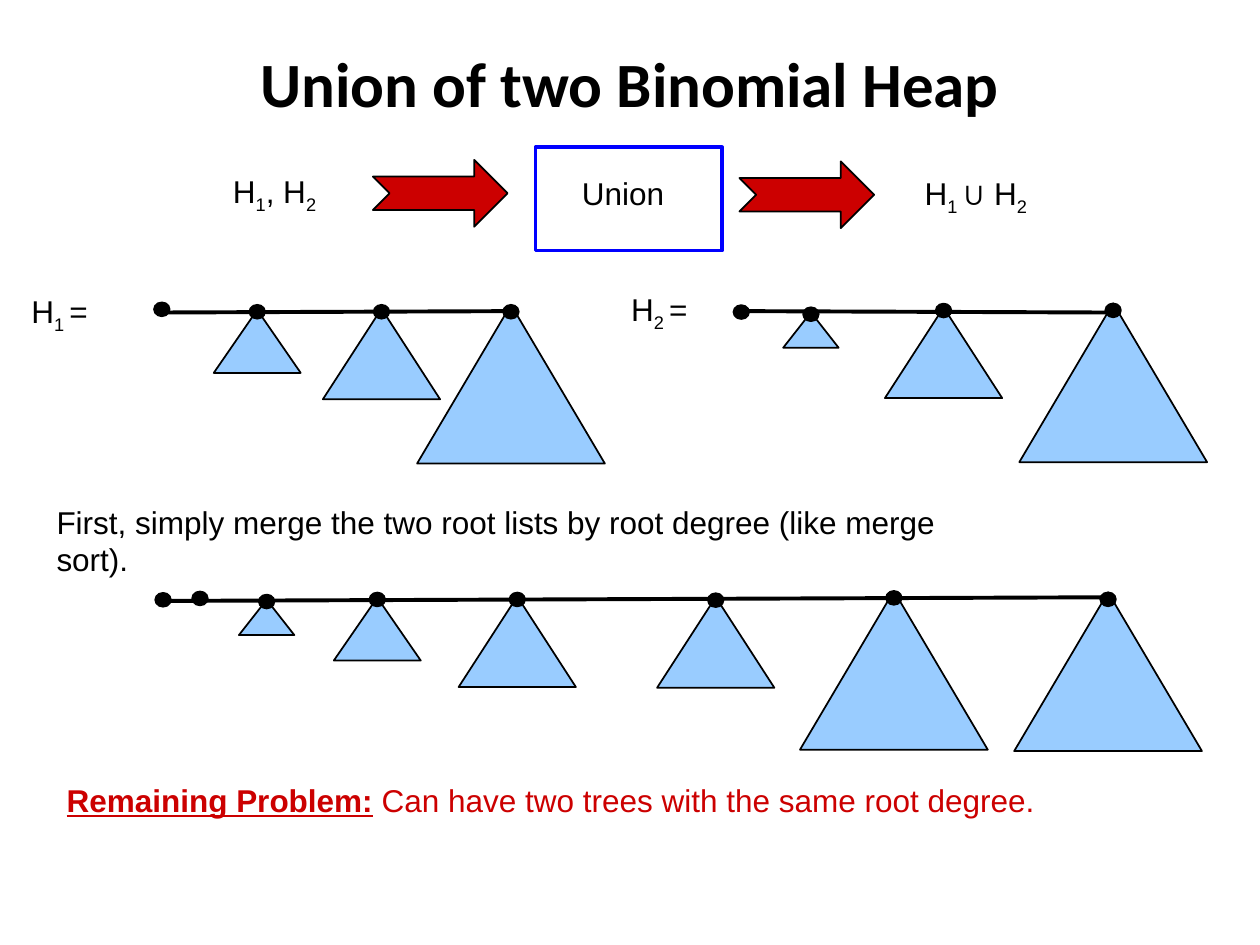
from dataclasses import dataclass

from lxml.etree import SubElement
from pptx import Presentation
from pptx.dml.color import RGBColor as Rgb
from pptx.enum.shapes import MSO_CONNECTOR as Connector, MSO_SHAPE as Shape
from pptx.enum.text import MSO_ANCHOR as Anchor, MSO_AUTO_SIZE as AutoSize, PP_ALIGN as Align
from pptx.oxml.ns import qn
from pptx.util import Pt


@dataclass(frozen=True)
class Theme:
    ink: Rgb = Rgb(0, 0, 0)
    accent: Rgb = Rgb(0xCC, 0, 0)
    frame: Rgb = Rgb(0, 0, 0xFF)
    tree: Rgb = Rgb(0x99, 0xCC, 0xFF)
    title_font: str = "Calibri"
    body_font: str = "Arial"
    title_size: float = 36
    body_size: float = 18
    thin: float = 1
    thick: float = 2.25


def apply(target, formats):
    for attribute, value in formats.items():
        setattr(target, attribute, value)


class HeapSlide:
    TREE_SIZES = {1: (31.7, 20.2, 2.9), 2: (49.7, 36, 2.9), 3: (67, 51.8, 2.2), 4: (107.3, 90.7, 0)}
    ROOT_WIDTH, ROOT_HEIGHT = 8.9, 7.9

    def __init__(self, slide, theme):
        self.slide = slide
        self.theme = theme

    def title(self, wording, left, top, width, height):
        heading = self.slide.shapes.title
        apply(heading, dict(left=Pt(left), top=Pt(top), width=Pt(width), height=Pt(height)))
        frame = heading.text_frame
        apply(frame, dict(text=wording, auto_size=AutoSize.NONE, vertical_anchor=Anchor.MIDDLE))
        paragraph = frame.paragraphs[0]
        paragraph.alignment = Align.CENTER
        apply(paragraph.runs[0].font,
              dict(name=self.theme.title_font, size=Pt(self.theme.title_size), bold=True))
        paragraph.runs[0].font.color.rgb = self.theme.ink

    def text(self, parts, left, top, width, height, color=None):
        box = self.slide.shapes.add_textbox(Pt(left), Pt(top), Pt(width), Pt(height))
        apply(box.text_frame, dict(word_wrap=False, auto_size=AutoSize.SHAPE_TO_FIT_TEXT))
        paragraph = box.text_frame.paragraphs[0]
        for wording, style in parts:
            run = paragraph.add_run()
            run.text = wording
            apply(run.font, dict(name=self.theme.body_font, size=Pt(self.theme.body_size)))
            run.font.color.rgb = color or self.theme.ink
            if style == "sub":
                run.font._element.set("baseline", "-25000")
            if style == "strong":
                apply(run.font, dict(bold=True, underline=True))

    def shape(self, kind, left, top, width, height, fill=None, line=None, weight=None, parent=None):
        shapes = (parent or self.slide).shapes
        drawn = shapes.add_shape(kind, Pt(left), Pt(top), Pt(width), Pt(height))
        drawn.shadow.inherit = False
        if fill is None:
            drawn.fill.background()
        else:
            drawn.fill.solid()
            drawn.fill.fore_color.rgb = fill
        drawn.line.color.rgb = line or self.theme.ink
        drawn.line.width = Pt(weight or self.theme.thin)

    def root_list(self, start, end):
        link = self.slide.shapes.add_connector(Connector.STRAIGHT, *map(Pt, start + end))
        link.line.color.rgb = self.theme.ink
        link.line.width = Pt(self.theme.thick)
        SubElement(link._element.spPr, qn("a:effectLst"))

    def tree(self, degree, center, top):
        parent = None
        if degree:
            width, height, drop = self.TREE_SIZES[degree]
            parent = self.slide.shapes.add_group_shape()
            self.shape(Shape.ISOSCELES_TRIANGLE, center - width / 2, top + drop, width, height,
                       self.theme.tree, parent=parent)
        self.shape(Shape.OVAL, center - self.ROOT_WIDTH / 2, top, self.ROOT_WIDTH,
                   self.ROOT_HEIGHT, self.theme.ink, parent=parent)

    def heap(self, start, end, trees):
        self.root_list(start, end)
        for degree, center, top in trees:
            self.tree(degree, center, top)


def main():
    deck = Presentation()
    apply(deck, dict(slide_width=Pt(720), slide_height=Pt(540)))
    theme = Theme()
    page = HeapSlide(deck.slides.add_slide(deck.slide_layouts[5]), theme)

    page.title("Union of two Binomial Heap", 36, 21.6, 648, 50.4)

    page.shape(Shape.RECTANGLE, 306, 84.2, 106.6, 59, line=theme.frame, weight=theme.thick)
    for left, top in ((213.1, 91.4), (422.6, 92.2)):
        page.shape(Shape.NOTCHED_RIGHT_ARROW, left, top, 77, 38.2, theme.accent)
    page.text([("Union", None)], 325.4, 95.8, 61.2, 28.8)
    page.text([("H", None), ("1", "sub"), (", H", None), ("2", "sub")], 126, 95, 61.9, 31.7)
    page.text([("H", None), ("1 ", "sub"), ("∪ H", None), ("2", "sub")], 521.3, 95.8, 76.3, 31.7)

    for index, left, top in (("1 ", 10.8, 163.4), ("2 ", 353.5, 162)):
        page.text([("H", None), (index, "sub"), ("=", None)], left, top, 46.8, 31.7)

    page.heap((90, 178.6), (292.3, 177.8),
              [(0, 92.5, 172.8), (2, 147, 174.2), (3, 218, 174.2), (4, 292, 174.2)])
    page.heap((425.5, 177.8), (632.9, 178.6),
              [(0, 423.6, 174.4), (1, 463.4, 175.6), (3, 539.2, 173.5), (4, 636.1, 173.4)])
    page.heap((93.6, 343.4), (634.3, 341.3),
              [(0, 93.2, 338.8), (0, 114.3, 338), (1, 152.4, 339.8), (2, 215.6, 338.6),
               (3, 295.6, 338.6), (3, 409, 339), (4, 510.8, 337.7), (4, 633.2, 338.5)])

    page.text([("First, simply merge the two root lists by root degree (like merge sort).", None)],
              25.2, 283.7, 562.3, 28.8)
    page.text([("Remaining Problem:", "strong"),
               (" Can have two trees with the same root degree.", None)],
              31, 442.8, 567.4, 28.8, theme.accent)

    deck.save("out.pptx")


if __name__ == "__main__":
    main()
